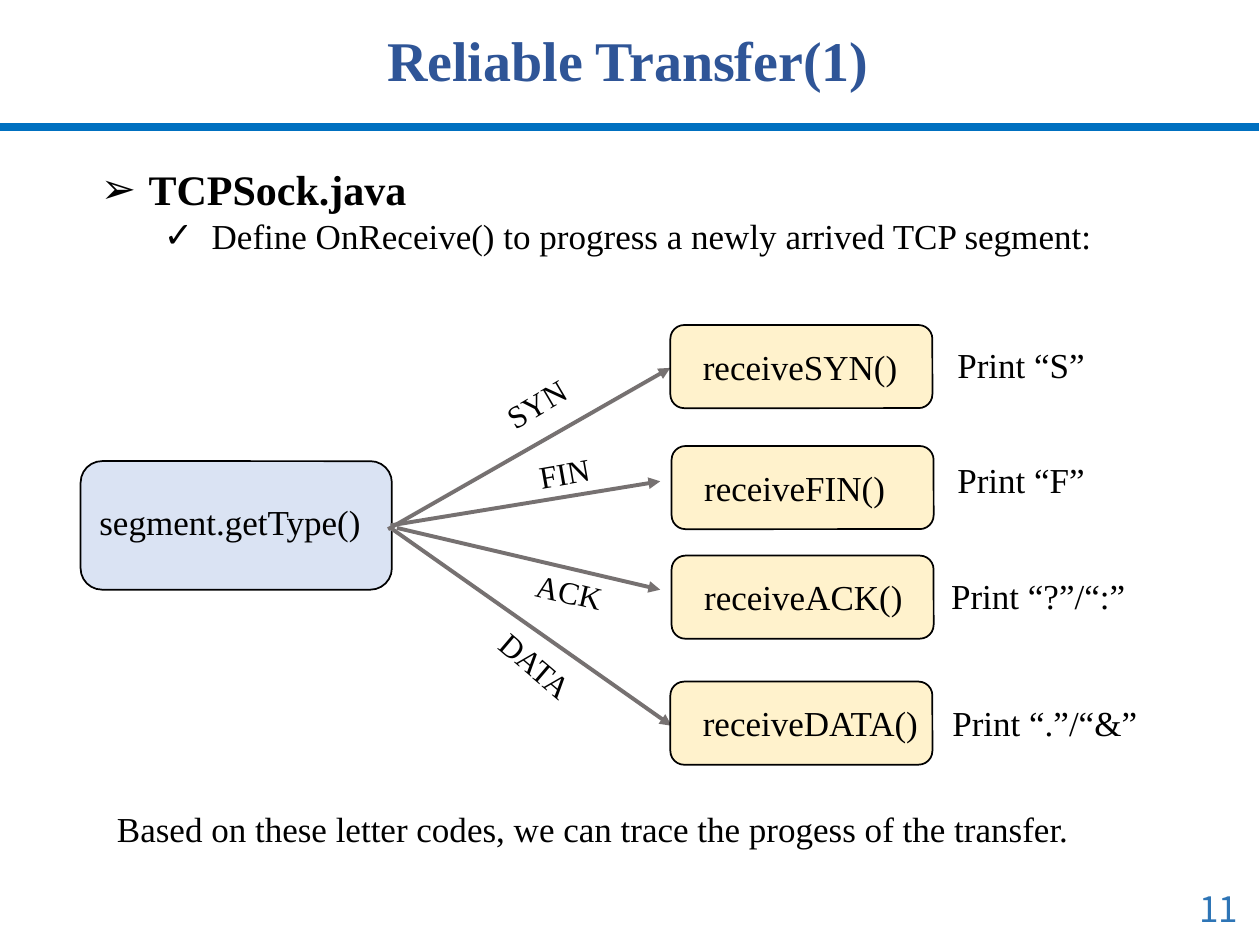
from dataclasses import dataclass

from lxml import etree
from pptx import Presentation
from pptx.dml.color import RGBColor
from pptx.enum import shapes, text
from pptx.oxml import ns
from pptx.util import Inches, Pt

COLORS = {
    "rule": "0070C0", "title": "2F5597", "number": "2E75B6", "ink": "000000",
    "source": "DAE3F3", "handler": "FFF2CC", "arrow": "767171",
}
SERIF = "Times New Roman"
LABEL_INDENT = 0.5


@dataclass
class Label:
    words: str
    left: float
    top: float
    width: float
    height: float = 0.44
    size: int = 20
    rotation: float = 0


@dataclass
class Box:
    left: float
    top: float
    width: float
    height: float
    fill: str
    label: Label


@dataclass
class Arrow:
    start: tuple[float, float]
    end: tuple[float, float]
    label: Label


def rgb(name: str) -> RGBColor:
    return RGBColor.from_string(COLORS[name])


def place(shape, left: float, top: float, width: float, height: float) -> None:
    shape.left, shape.top = Inches(left), Inches(top)
    shape.width, shape.height = Inches(width), Inches(height)


def style(paragraph, size: int, color: str = "ink", bold: bool = False,
          face: str = SERIF) -> None:
    font = paragraph.font
    font.name, font.size, font.bold = face, Pt(size), bold
    font.color.rgb = rgb(color)


def indent(paragraph, margin: float, first: float = 0, bullet: str = "") -> None:
    properties = paragraph._p.get_or_add_pPr()
    properties.set("marL", str(Inches(margin)))
    properties.set("indent", str(Inches(first)))
    if bullet:
        etree.SubElement(properties, ns.qn("a:buChar")).set("char", bullet)


def draw_label(slide, label: Label) -> None:
    box = slide.shapes.add_textbox(Inches(label.left), Inches(label.top),
                                   Inches(label.width), Inches(label.height))
    box.rotation = label.rotation
    box.text_frame.word_wrap = True
    paragraph = box.text_frame.paragraphs[0]
    paragraph.text = label.words
    indent(paragraph, LABEL_INDENT)
    style(paragraph, label.size)


def draw_box(slide, box: Box) -> None:
    shape = slide.shapes.add_shape(
        shapes.MSO_SHAPE.ROUNDED_RECTANGLE, Inches(box.left), Inches(box.top),
        Inches(box.width), Inches(box.height))
    shape.shadow.inherit = False
    shape.fill.solid()
    shape.fill.fore_color.rgb = rgb(box.fill)
    shape.line.color.rgb = rgb("ink")
    shape.line.width = Pt(1)
    draw_label(slide, box.label)


def draw_line(slide, start: tuple[float, float], end: tuple[float, float],
              color: str, width: float, arrow: bool = False) -> None:
    line = slide.shapes.add_connector(
        shapes.MSO_CONNECTOR.STRAIGHT, *map(Inches, start + end))
    line.line.color.rgb = rgb(color)
    line.line.width = Pt(width)
    if arrow:
        etree.SubElement(line.line._get_or_add_ln(),
                         ns.qn("a:tailEnd")).set("type", "triangle")
    etree.SubElement(line._element.spPr, ns.qn("a:effectLst"))


def draw_heading(slide) -> None:
    draw_line(slide, (-0.01, 1.01), (9.99, 1.01), "rule", 4.5)
    title = slide.shapes.title
    place(title, -0.01, 0, 9.99, 0.79)
    title.text_frame.auto_size = text.MSO_AUTO_SIZE.NONE
    title.text_frame.vertical_anchor = text.MSO_ANCHOR.BOTTOM
    paragraph = title.text_frame.paragraphs[0]
    paragraph.text = "Reliable Transfer(1)"
    paragraph.alignment = text.PP_ALIGN.CENTER
    paragraph.line_spacing = 0.9
    style(paragraph, 32, "title", bold=True)


def draw_bullets(slide) -> None:
    body = slide.placeholders[1]
    place(body, 0.2, 1.25, 9.3, 1.25)
    frame = body.text_frame
    frame.auto_size = text.MSO_AUTO_SIZE.NONE
    topic, detail = frame.paragraphs[0], frame.add_paragraph()
    topic.text = "TCPSock.java"
    detail.text = "Define OnReceive() to progress a newly arrived TCP segment:"
    detail.level = 1
    for paragraph, margin, bullet, size, bold in (
            (topic, 0.88, "➢", 24, True), (detail, 1.38, "✓", 20, False)):
        paragraph.space_before = Pt(0)
        indent(paragraph, margin, -0.38, bullet)
        style(paragraph, size, bold=bold)


def draw_number(slide) -> None:
    number = slide.shapes.add_textbox(Inches(9.42), Inches(7.01),
                                      Inches(0.56), Inches(0.4))
    number.text_frame.vertical_anchor = text.MSO_ANCHOR.MIDDLE
    paragraph = number.text_frame.paragraphs[0]
    paragraph.text = "11"
    style(paragraph, 20, "number", face="Noto Sans CJK SC")


def handler(segment: str, left: float, top: float) -> Box:
    label = Label(f"receive{segment}()", left - 0.34, top + 0.11, 2.77)
    return Box(left, top, 2.08, 0.66, "handler", label)


def branch(segment: str, start: tuple[float, float], end: tuple[float, float],
           left: float, top: float, rotation: float) -> Arrow:
    return Arrow(start, end, Label(segment, left, top, 1.51, 0.4, 18, rotation))


SOURCE = Box(0.64, 3.66, 2.47, 1.02, "source",
             Label("segment.getType()", 0.19, 3.92, 2.91))
HANDLERS = [
    handler("SYN", 5.32, 2.58), handler("FIN", 5.33, 3.54),
    handler("ACK", 5.33, 4.41), handler("DATA", 5.32, 5.41),
]
BRANCHES = [
    branch("SYN", (3.08, 4.2), (5.32, 2.92), 3.42, 3.05, 329.5),
    branch("FIN", (3.1, 4.17), (5.24, 3.82), 3.68, 3.56, 350),
    branch("ACK", (3.15, 4.19), (5.24, 4.68), 3.66, 4.47, 13.3),
    branch("DATA", (3.1, 4.19), (5.33, 5.76), 3.37, 4.97, 40.4),
]
NOTES = [
    Label("Print “S”", 7, 2.68, 1.96),
    Label("Print “F”", 7, 3.59, 1.96),
    Label("Print “?”/“:”", 6.95, 4.51, 2.55),
    Label("Print “.”/“&”", 6.96, 5.52, 2.55),
    Label("Based on these letter codes, we can trace the progess of the transfer.",
          0.33, 6.36, 9.3),
]


def main() -> None:
    deck = Presentation()
    deck.slide_width, deck.slide_height = Inches(10), Inches(7.5)
    slide = deck.slides.add_slide(deck.slide_layouts[1])

    # Title, rule, list and page number
    draw_heading(slide)
    draw_bullets(slide)
    draw_number(slide)

    # Dispatch from the segment type to its handler
    draw_box(slide, SOURCE)
    for arrow in BRANCHES:
        draw_line(slide, arrow.start, arrow.end, "arrow", 2.25, arrow=True)
        draw_label(slide, arrow.label)
    for box in HANDLERS:
        draw_box(slide, box)

    # Printed codes and closing remark
    for note in NOTES:
        draw_label(slide, note)

    deck.save("out.pptx")


if __name__ == "__main__":
    main()
